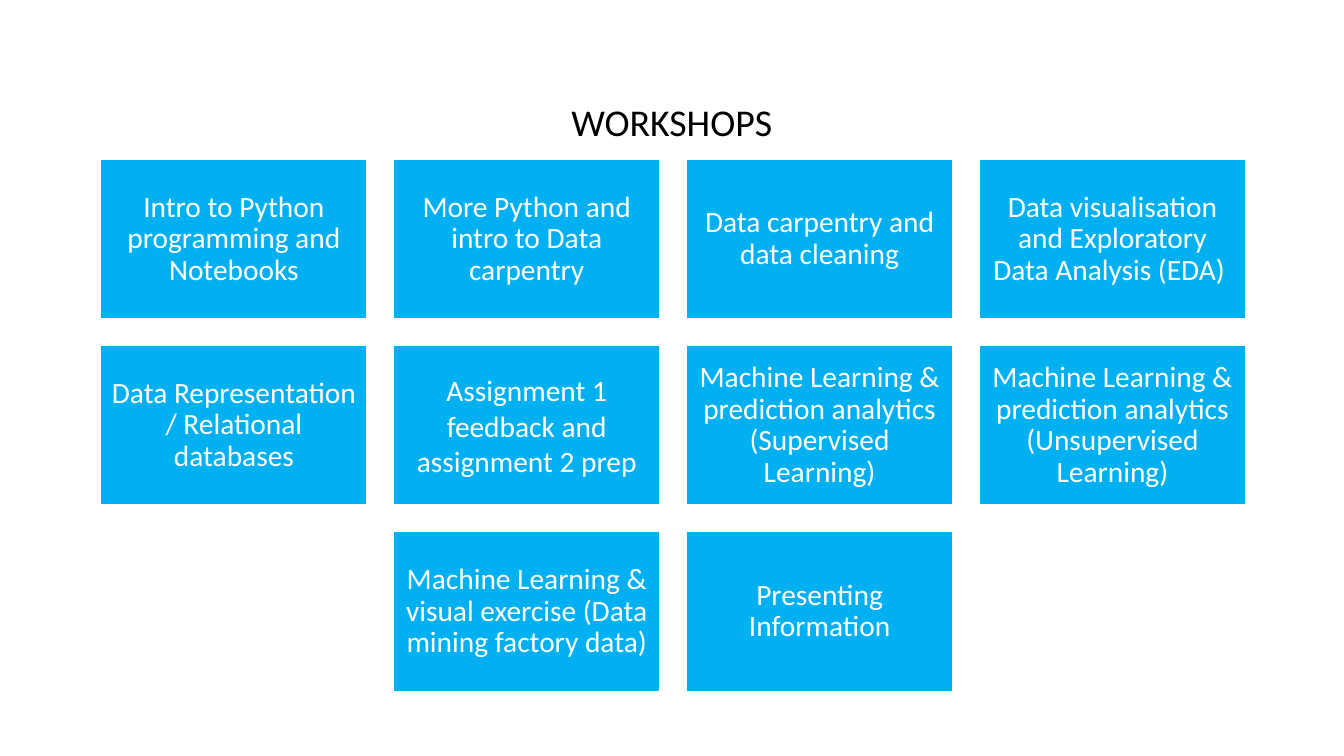
import pptx
import pptx.util
import pptx.dml.color
import pptx.enum.shapes
import pptx.enum.text

Cm = pptx.util.Cm
Pt = pptx.util.Pt
SKY = pptx.dml.color.RGBColor(0x00, 0xB0, 0xF0)
WHITE = pptx.dml.color.RGBColor(0xFF, 0xFF, 0xFF)
BLACK = pptx.dml.color.RGBColor(0x00, 0x00, 0x00)

COLUMNS = 4
LEFT, TOP = 2.54, 4.02
CARD_W, CARD_H = 6.71, 4.02
GAP = 0.67

WORKSHOPS = [
    "Intro to Python programming and Notebooks",
    "More Python and intro to Data carpentry",
    "Data carpentry and data cleaning",
    "Data visualisation and Exploratory Data Analysis (EDA) ",
    "Data Representation / Relational databases",
    "Assignment 1 feedback and assignment 2 prep",
    "Machine Learning & prediction analytics (Supervised Learning)",
    "Machine Learning & prediction analytics (Unsupervised Learning)",
    "Machine Learning & visual exercise (Data mining factory data)",
    "Presenting Information",
]
SINGLE_SPACED = {"Assignment 1 feedback and assignment 2 prep"}


def write(tf, text, font="Calibri", size=21, color=WHITE, spacing=0.9, inset=0.23):
    tf.word_wrap = True
    tf.vertical_anchor = pptx.enum.text.MSO_ANCHOR.MIDDLE
    tf.margin_left = tf.margin_right = Cm(inset)
    tf.margin_top = tf.margin_bottom = Cm(inset)
    p = tf.paragraphs[0]
    p.alignment = pptx.enum.text.PP_ALIGN.CENTER
    p.line_spacing = spacing
    r = p.add_run()
    r.text = text
    r.font.name = font
    r.font.size = Pt(size)
    r.font.color.rgb = color


class Deck:
    def __init__(self):
        self.font = "Calibri"
        self.prs = pptx.Presentation()
        self.prs.slide_width = Cm(33.87)
        self.prs.slide_height = Cm(19.05)
        self.s = self.prs.slides.add_slide(self.prs.slide_layouts[6])

    def title(self, text, x, y, w, h):
        sp = self.s.shapes.add_textbox(Cm(x), Cm(y), Cm(w), Cm(h))
        write(sp.text_frame, text, font=self.font, size=27, color=BLACK, spacing=1.0)

    def card(self, text, x, y, spacing):
        sp = self.s.shapes.add_shape(
            pptx.enum.shapes.MSO_SHAPE.RECTANGLE, Cm(x), Cm(y), Cm(CARD_W), Cm(CARD_H))
        sp.shadow.inherit = False
        sp.fill.solid()
        sp.fill.fore_color.rgb = SKY
        sp.line.color.rgb = WHITE
        sp.line.width = Pt(1)
        write(sp.text_frame, text, font=self.font, spacing=spacing)


def main():
    deck = Deck()
    deck.title("WORKSHOPS", 1.65, 1.92, 30.56, 2.29)
    for start in range(0, len(WORKSHOPS), COLUMNS):
        row = WORKSHOPS[start:start + COLUMNS]
        indent = (COLUMNS - len(row)) / 2
        y = TOP + start // COLUMNS * (CARD_H + GAP)
        for col, text in enumerate(row):
            x = LEFT + (col + indent) * (CARD_W + GAP)
            deck.card(text, x, y, 1.0 if text in SINGLE_SPACED else 0.9)
    deck.prs.save("out.pptx")


if __name__ == "__main__":
    main()
